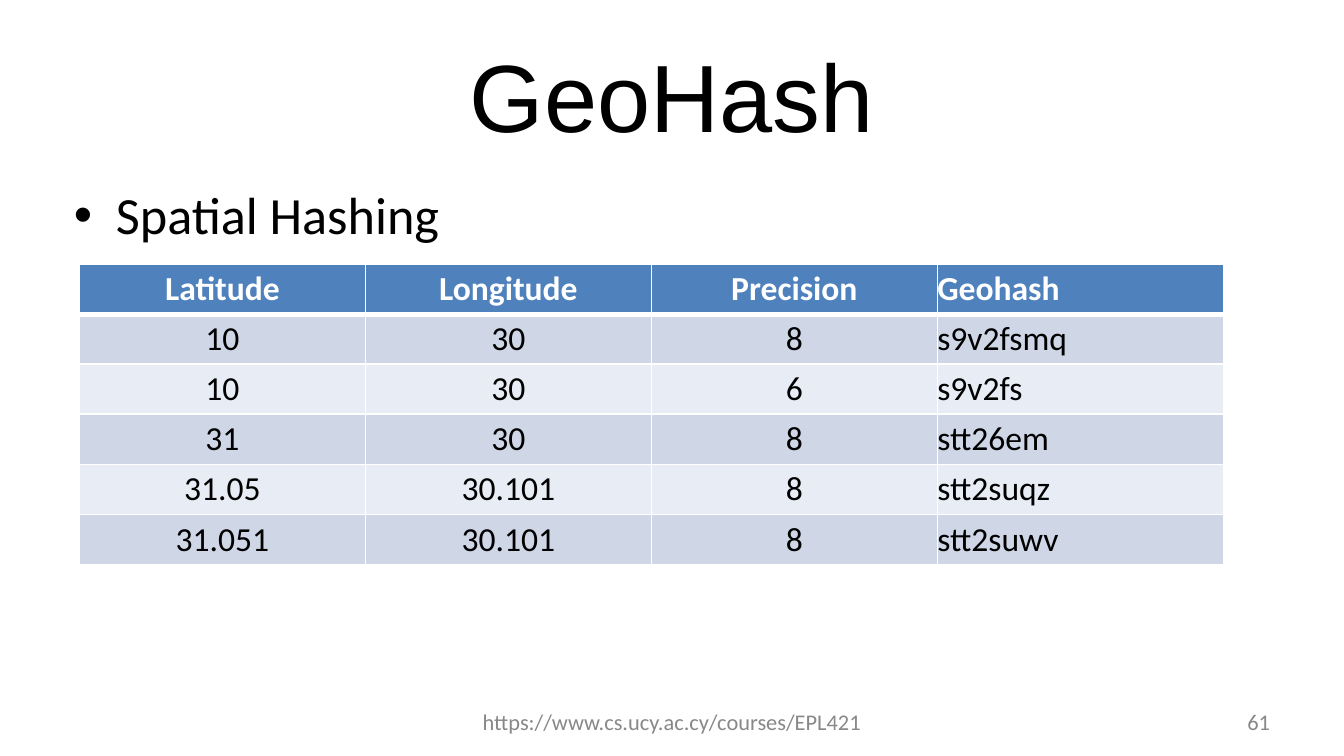
"""Build the GeoHash slide with its table of spatial hashes."""
from lxml import etree
from pptx import Presentation
from pptx.dml.color import RGBColor
from pptx.enum.text import MSO_ANCHOR, PP_ALIGN
from pptx.oxml.ns import qn
from pptx.util import Pt

LEFT, MID, RIGHT = PP_ALIGN.LEFT, PP_ALIGN.CENTER, PP_ALIGN.RIGHT
TOP, CENTRE = MSO_ANCHOR.TOP, MSO_ANCHOR.MIDDLE

BLACK, WHITE, GREY = "000000", "FFFFFF", "888888"
HEAD, BANDS = "4F81BD", ("CFD7E7", "E8ECF4")

TEXTS = [
    ("GeoHash", (36, 16.56, 648, 67.68), "Arial", 51.2, BLACK, MID, CENTRE),
    ("Spatial Hashing", (36, 94.32, 648, 267.12), "Calibri", 28, BLACK, LEFT, TOP),
    ("https://www.cs.ucy.ac.cy/courses/EPL421", (241.2, 375.84, 237.6, 20.88),
     "Calibri", 12, GREY, MID, CENTRE),
    ("61", (662.4, 375.84, 21.6, 20.88), "Calibri", 12, GREY, RIGHT, CENTRE),
]
BULLETS = {"Spatial Hashing"}
ROWS = [
    ("Latitude", "Longitude", "Precision", "Geohash"),
    ("10", "30", "8", "s9v2fsmq"),
    ("10", "30", "6", "s9v2fs"),
    ("31", "30", "8", "stt26em"),
    ("31.05", "30.101", "8", "stt2suqz"),
    ("31.051", "30.101", "8", "stt2suwv"),
]
GRID = (42.6, 141.4, 612.8, 161.1)


def paint(code):
    return RGBColor.from_string(code)


def write(para, text, face, size, color, align, bold=False):
    para.alignment = align
    run = para.add_run()
    run.text = text
    font = run.font
    font.name, font.size, font.bold = face, Pt(size), bold
    font.color.rgb = paint(color)


def bullet(para):
    props = para._p.get_or_add_pPr()
    props.set("marL", str(Pt(22.5)))
    props.set("indent", str(Pt(-22.5)))
    etree.SubElement(props, qn("a:buFont"), typeface="Arial")
    etree.SubElement(props, qn("a:buChar"), char="•")


def label(slide, text, spot, face, size, color, align, anchor):
    frame = slide.shapes.add_textbox(*map(Pt, spot)).text_frame
    frame.word_wrap = True
    frame.vertical_anchor = anchor
    frame.margin_left = frame.margin_right = Pt(3.6)
    frame.margin_top = frame.margin_bottom = Pt(3.6)
    para = frame.paragraphs[0]
    if text in BULLETS:
        bullet(para)
    write(para, text, face, size, color, align)


def edge(cell, row):
    props = cell._tc.get_or_add_tcPr()
    thick = {0: "lnB", 1: "lnT"}.get(row)
    for side in ("lnL", "lnR", "lnT", "lnB"):
        width = Pt(3 if side == thick else 1)
        line = etree.SubElement(props, qn("a:" + side), w=str(width))
        fill = etree.SubElement(line, qn("a:solidFill"))
        etree.SubElement(fill, qn("a:srgbClr"), val=WHITE)


def table(slide):
    count = len(ROWS[0])
    grid = slide.shapes.add_table(len(ROWS), count, *map(Pt, GRID)).table
    for col in grid.columns:
        col.width = Pt(GRID[2] / count)
    for r, row in enumerate(ROWS):
        grid.rows[r].height = Pt(GRID[3] / len(ROWS))
        for c, text in enumerate(row):
            cell = grid.cell(r, c)
            cell.margin_left = cell.margin_right = 0
            cell.margin_top = cell.margin_bottom = 0
            cell.vertical_anchor = CENTRE
            edge(cell, r)
            cell.fill.solid()
            cell.fill.fore_color.rgb = paint(BANDS[(r - 1) % 2] if r else HEAD)
            write(cell.text_frame.paragraphs[0], text, "Calibri", 18,
                  BLACK if r else WHITE, MID if c < count - 1 else LEFT, r == 0)


def main():
    deck = Presentation()
    deck.slide_width, deck.slide_height = Pt(720), Pt(405)
    slide = deck.slides.add_slide(deck.slide_layouts[6])
    for item in TEXTS:
        label(slide, *item)
    table(slide)
    deck.save("out.pptx")


if __name__ == "__main__":
    main()
